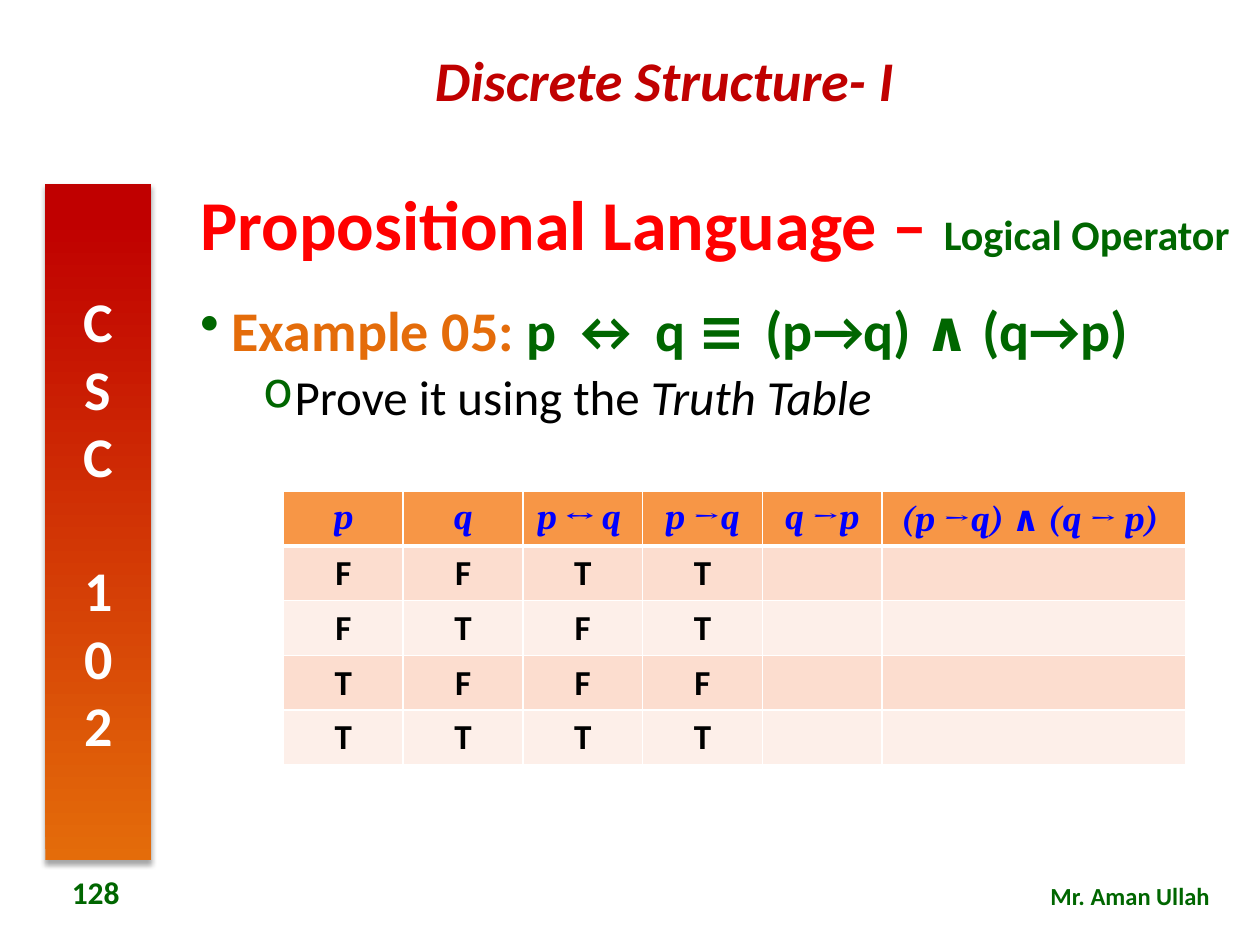
from lxml import etree
from pptx import Presentation
from pptx.dml.color import RGBColor
from pptx.enum import shapes, text
from pptx.oxml.ns import qn
from pptx.util import Inches, Pt

THEME = {
    "font": "Calibri", "math": "Cambria", "symbol": "Comic Neue",
    "crimson": "C00000", "red": "FF0000", "orange": "E46C0A",
    "green": "006600", "blue": "0000FF", "black": "000000", "white": "FFFFFF",
    "header": "F79646", "bands": ("FCDDCF", "FDEFE9"),
    "title": 40, "large": 32, "body": 28, "subtitle": 24,
    "table": 20, "number": 18, "footer": 14,
}

# A run is (text, size, colour, bold, italic, font)
COURSE = [("Discrete Structure- I", "large", "crimson", True, True, "font")]
CODE = [("CSC 102", "large", "white", True, False, "font")]
AUTHOR = [("Mr. Aman Ullah", "footer", "green", True, False, "font")]
NUMBER = [("128", "number", "green", True, False, "font")]
TITLE = [
    ("Propositional Language – ", "title", "red", True, False, "font"),
    ("Logical Operator", "subtitle", "green", True, False, "font"),
]
EXAMPLE = [
    ("Example 05: ", "large", "orange", True, False, "font"),
    ("p ↔ q ", "large", "green", True, False, "font"),
    ("≡ ", "large", "green", True, False, "symbol"),
    ("(p→q) ∧ (q→p)", "large", "green", True, False, "font"),
]
TASK = [
    ("Prove it using the ", "body", "black", False, False, "font"),
    ("Truth Table", "body", "black", False, True, "font"),
]
HEADERS = [
    ["p"], ["q"], ["p ↔ q "], ["p ", "→", "q"], ["q ", "→", "p"],
    ["(p ", "→", "q) ", "∧ ", "(q ", "→ ", "p) "],
]
TRUTH_ROWS = ["FFTT", "FTFT", "TFFF", "TTTT"]
COLUMN_WIDTHS = [0.95] * 5 + [2.41]
ROW_HEIGHT = 0.41


def colour(name):
    return RGBColor.from_string(THEME[name])


def add_runs(paragraph, runs, alignment):
    paragraph.alignment = alignment
    for content, size, tint, bold, italic, font in runs:
        run = paragraph.add_run()
        run.text = content
        run.font.name = THEME[font]
        run.font.size = Pt(THEME[size])
        run.font.bold = bold
        run.font.italic = italic
        run.font.color.rgb = colour(tint)


def add_text(slide, box, runs, alignment, anchor=text.MSO_ANCHOR.TOP):
    frame = slide.shapes.add_textbox(*map(Inches, box)).text_frame
    frame.word_wrap = True
    frame.vertical_anchor = anchor
    add_runs(frame.paragraphs[0], runs, alignment)
    return frame


def set_bullet(paragraph, character, left):
    properties = paragraph._p.get_or_add_pPr()
    properties.set("marL", str(Inches(left)))
    properties.set("indent", str(Inches(-0.25)))
    tint = etree.SubElement(properties, qn("a:buClr"))
    etree.SubElement(tint, qn("a:srgbClr"), val=THEME["green"])
    etree.SubElement(properties, qn("a:buChar"), char=character)
    paragraph.line_spacing = 0.9


def add_course_bar(slide):
    bar = slide.shapes.add_shape(
        shapes.MSO_SHAPE.RECTANGLE, *map(Inches, (0.36, 1.46, 0.84, 5.37)))
    bar.line.fill.background()
    bar.fill.gradient()
    bar.fill.gradient_angle = 90
    stops = ((0, "orange"), (0.95, "crimson"))
    for stop, (position, tint) in zip(bar.fill.gradient_stops, stops):
        stop.position = position
        stop.color.rgb = colour(tint)
    effects = etree.SubElement(bar._element.spPr, qn("a:effectLst"))
    shadow = etree.SubElement(
        effects, qn("a:outerShdw"), blurRad=str(Pt(3.1)), dist=str(Pt(1.8)),
        dir="5400000", rotWithShape="0")
    tint = etree.SubElement(shadow, qn("a:srgbClr"), val=THEME["black"])
    etree.SubElement(tint, qn("a:alpha"), val="35000")
    bar.text_frame._txBody.bodyPr.set("vert", "wordArtVert")
    add_runs(bar.text_frame.paragraphs[0], CODE, text.PP_ALIGN.CENTER)


def set_borders(cell, top, bottom):
    properties = cell._tc.get_or_add_tcPr()
    for side, width in (("L", 1), ("R", 1), ("T", top), ("B", bottom)):
        line = etree.SubElement(properties, qn(f"a:ln{side}"), w=str(Pt(width)))
        fill = etree.SubElement(line, qn("a:solidFill"))
        etree.SubElement(fill, qn("a:srgbClr"), val=THEME["white"])


def header_runs(parts):
    """Letters are italic, operators standing alone are upright."""
    return [(part, "table", "blue", True, part.strip() not in "→∧",
             "font" if "∧" in part else "math") for part in parts]


def add_truth_table(slide):
    rows = [[header_runs(parts) for parts in HEADERS]]
    for values in TRUTH_ROWS:
        rows.append([[(value, "table", "black", True, False, "font")]
                     for value in values])
    table = slide.shapes.add_table(
        len(rows), len(HEADERS), Inches(2.25), Inches(3.9),
        Inches(sum(COLUMN_WIDTHS)), Inches(ROW_HEIGHT * len(rows))).table
    for column, width in zip(table.columns, COLUMN_WIDTHS):
        column.width = Inches(width)
    for row_index, row in enumerate(rows):
        table.rows[row_index].height = Inches(ROW_HEIGHT)
        fill = THEME["bands"][(row_index - 1) % 2] if row_index else THEME["header"]
        for column_index in range(len(HEADERS)):
            cell = table.cell(row_index, column_index)
            set_borders(cell, top=3 if row_index == 1 else 1,
                        bottom=1 if row_index else 3)
            cell.fill.solid()
            cell.fill.fore_color.rgb = RGBColor.from_string(fill)
            if column_index < len(row):
                add_runs(cell.text_frame.paragraphs[0], row[column_index],
                         text.PP_ALIGN.CENTER)


def main():
    presentation = Presentation()
    presentation.slide_width, presentation.slide_height = Inches(10), Inches(7.5)
    slide = presentation.slides.add_slide(presentation.slide_layouts[5])
    align = text.PP_ALIGN

    title = slide.shapes.title
    title.left, title.top, title.width, title.height = map(
        Inches, (1.49, 1.36, 8.39, 0.89))
    title.text_frame.auto_size = text.MSO_AUTO_SIZE.NONE
    title.text_frame.vertical_anchor = text.MSO_ANCHOR.MIDDLE
    add_runs(title.text_frame.paragraphs[0], TITLE, align.LEFT)
    title.text_frame.paragraphs[0].line_spacing = 0.9

    add_text(slide, (2.11, 0.31, 6.33, 0.64), COURSE, align.CENTER)
    add_course_bar(slide)
    add_text(slide, (6.8, 6.94, 2.9, 0.34), AUTHOR, align.RIGHT)
    add_text(slide, (0.24, 6.88, 1.04, 0.4), NUMBER, align.CENTER,
             text.MSO_ANCHOR.MIDDLE)

    body = add_text(slide, (1.49, 2.36, 8.39, 4.4), EXAMPLE, align.JUSTIFY)
    set_bullet(body.paragraphs[0], "•", 0.25)
    task = body.add_paragraph()
    task.level = 1
    set_bullet(task, "o", 0.75)
    task.space_before = Pt(5)
    add_runs(task, TASK, align.LEFT)

    add_truth_table(slide)
    presentation.save("out.pptx")


if __name__ == "__main__":
    main()
